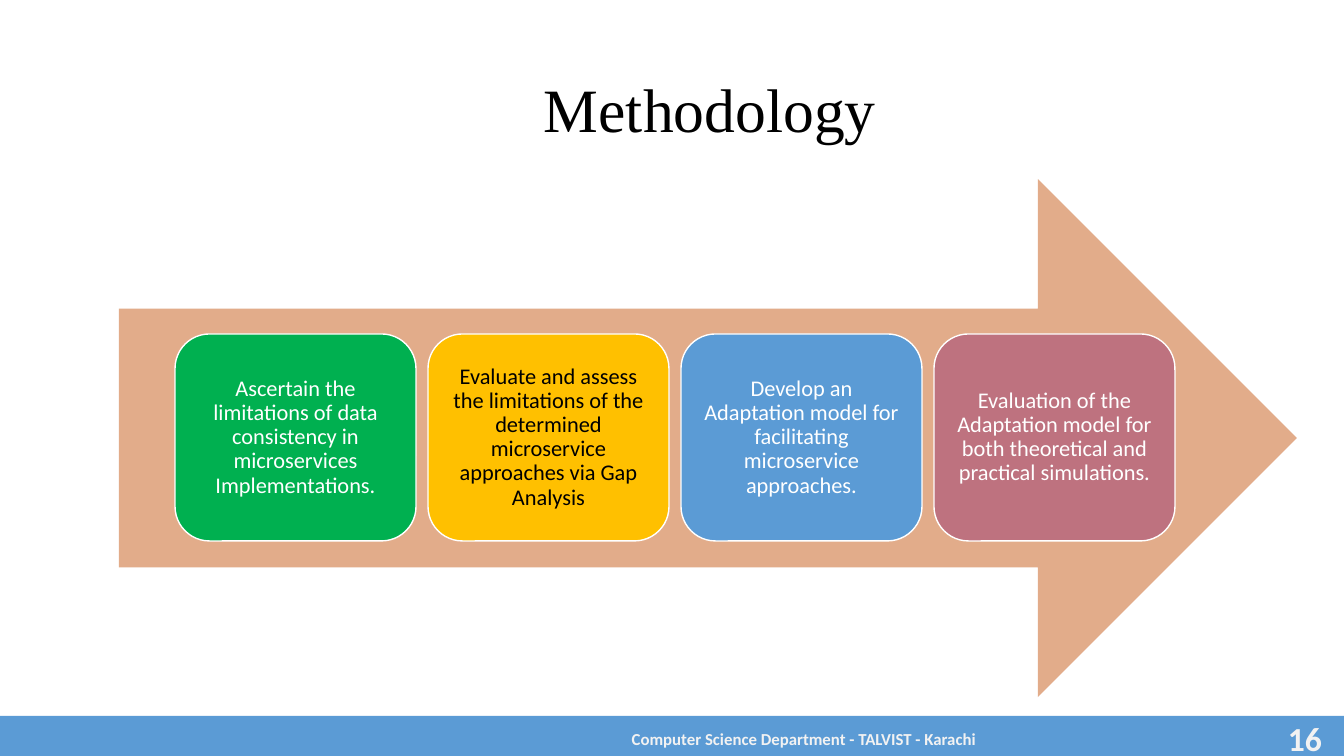
import pptx
import pptx.dml.color
import pptx.enum.shapes
import pptx.enum.text
import pptx.util

SHAPES = pptx.enum.shapes.MSO_SHAPE
ALIGN = pptx.enum.text.PP_ALIGN
EMU_PER_PX = 914400 / 100.8

STEPS = [
    ("Ascertain the limitations of data consistency in microservices Implementations.", "00B050", "FFFFFF"),
    ("Evaluate and assess the limitations of the determined microservice approaches via Gap Analysis", "FFC000", "000000"),
    ("Develop an Adaptation model for facilitating microservice approaches.", "5B9BD5", "FFFFFF"),
    ("Evaluation of the Adaptation model for both theoretical and practical simulations.", "BE727F", "FFFFFF"),
]


def px(length):
    """Turn pixels into EMU."""
    return pptx.util.Emu(round(length * EMU_PER_PX))


def color(value):
    """Turn a hex string into a colour."""
    return pptx.dml.color.RGBColor.from_string(value)


def add_panel(page, kind, box, fill, line=None):
    """Add a filled preset shape without a shadow."""
    panel = page.shapes.add_shape(kind, *map(px, box))
    panel.shadow.inherit = False
    panel.fill.solid()
    panel.fill.fore_color.rgb = color(fill)
    if line:
        panel.line.color.rgb = color(line)
        panel.line.width = pptx.util.Pt(1)
    else:
        panel.line.fill.background()
    return panel


def write(shape, text, size, ink, font="Calibri", bold=False, align=ALIGN.CENTER, spacing=1.0, insets=(10, 5)):
    """Write one vertically centred paragraph into a shape."""
    frame = shape.text_frame
    frame.word_wrap = True
    frame.vertical_anchor = pptx.enum.text.MSO_ANCHOR.MIDDLE
    frame.margin_left = frame.margin_right = px(insets[0])
    frame.margin_top = frame.margin_bottom = px(insets[1])
    para = frame.paragraphs[0]
    para.alignment = align
    para.line_spacing = spacing
    span = para.add_run()
    span.text = text
    span.font.name = font
    span.font.size = pptx.util.Pt(size)
    span.font.bold = bold
    span.font.color.rgb = color(ink)


def add_label(page, box, text, size, ink, **style):
    """Add a text box holding one paragraph."""
    write(page.shapes.add_textbox(*map(px, box)), text, size, ink, **style)


def add_footer(page, box):
    """Draw the footer band with its department name and page number."""
    left, top, width, height = box
    add_panel(page, SHAPES.RECTANGLE, box, "5B9BD5")
    add_label(page, (left + 580, top + 3, 454, height), "Computer Science Department - TALVIST - Karachi",
              12, "F2F2F2", bold=True)
    add_label(page, (left + 1033, top + 5, 302, 35), "16", 24, "F2F2F2", bold=True, align=ALIGN.RIGHT)


def add_process(page, box):
    """Draw the broad arrow and the row of step cards on it."""
    left, top, width, height = box
    add_panel(page, SHAPES.RIGHT_ARROW, box, "E2AC8A")
    card_width, gap = 241, 12
    card_height = round(height * 0.4)
    card_top = top + (height - card_height) // 2
    for index, (text, fill, ink) in enumerate(STEPS):
        card_left = left + 56 + index * (card_width + gap)
        card = add_panel(page, SHAPES.ROUNDED_RECTANGLE, (card_left, card_top, card_width, card_height), fill, "FFFFFF")
        write(card, text, 16, ink, spacing=0.9, insets=(7, 7))


def build_methodology(page, box):
    """Place the footer, title and process on the page."""
    left, top, width, height = box
    add_footer(page, (left - 3, top + height - 40, width + 3, 40))
    add_label(page, (left + 168, top + 40, 1084, 146), "Methodology", 44, "000000",
              font="Times New Roman", spacing=0.9)
    add_process(page, (left + 119, top + 179, 1178, 518))


def main():
    """Build and save the deck."""
    deck = pptx.Presentation()
    deck.slide_width, deck.slide_height = px(1344), px(756)
    page = deck.slides.add_slide(deck.slide_layouts[6])
    build_methodology(page, (0, 0, 1344, 756))
    deck.save("out.pptx")


if __name__ == "__main__":
    main()
